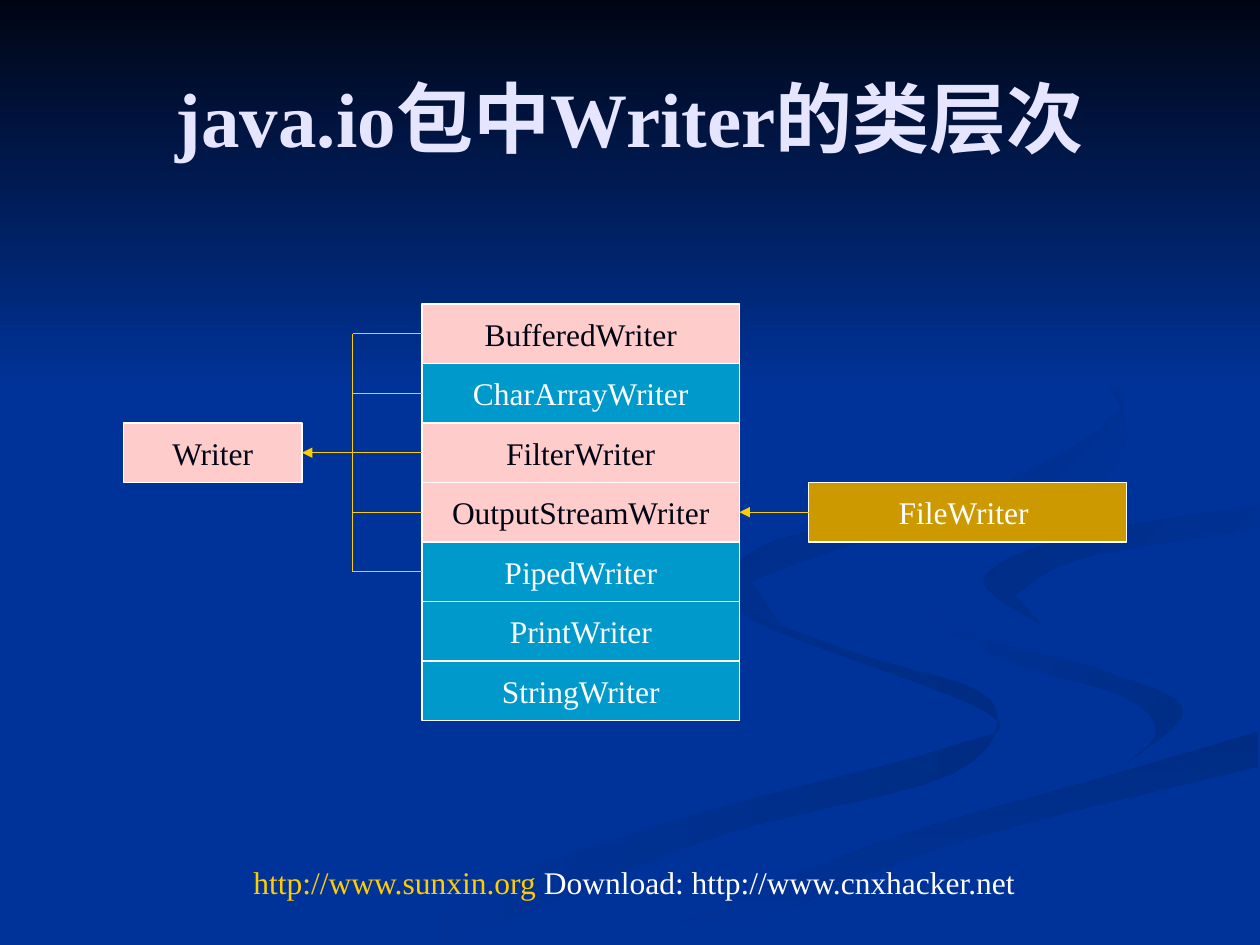
"""Build a slide showing the class hierarchy of Writer in java.io."""
from dataclasses import dataclass

from lxml.etree import SubElement
from pptx import Presentation
from pptx.dml.color import RGBColor as RGB
from pptx.enum.shapes import MSO_CONNECTOR as CONN, MSO_SHAPE as SHAPE
from pptx.enum.text import MSO_ANCHOR as ANCHOR, PP_ALIGN as ALIGN
from pptx.oxml.ns import qn
from pptx.util import Pt


@dataclass(frozen=True)
class Theme:
    font: str = "Times New Roman"
    back: str = "003399"
    dark: str = "000514"
    shade: str = "002C84"
    title: str = "E5E5FF"
    white: str = "FFFFFF"
    abstract: str = "FFCCCC"
    concrete: str = "0099CC"
    leaf: str = "CC9900"
    accent: str = "FFCC00"
    title_size: int = 44
    text_size: int = 18
    line: float = 0.75


T = Theme()
TITLE = "java.io包中Writer的类层次"
ROOT = "Writer"
SUBCLASSES = [
    ("BufferedWriter", T.abstract),
    ("CharArrayWriter", T.concrete),
    ("FilterWriter", T.abstract),
    ("OutputStreamWriter", T.abstract),
    ("PipedWriter", T.concrete),
    ("PrintWriter", T.concrete),
    ("StringWriter", T.concrete),
]
LEAF = "FileWriter "
FOOTER = [("http://www.sunxin.org", T.accent), (" Download: http://www.cnxhacker.net", T.white)]
ROOT_ROW, LEAF_ROW, BRANCHES = 2, 3, 5

RIBBONS = [
    ((T.back, T.shade, 0),
     [(414, 330), (427, 349), (491, 374), (566, 400), (544, 442), (406, 479), (260, 539)],
     [(216, 539), (300, 497), (417, 460), (539, 428), (566, 408), (440, 359), (410, 337)]),
    ((T.back, T.shade, 45),
     [(521, 334), (546, 359), (626, 382), (676, 405), (644, 436)],
     [(644, 436), (661, 418), (642, 398), (574, 377), (528, 351)]),
    ((T.shade, T.back, 90),
     [(719, 418), (624, 446), (501, 482), (362, 539)],
     [(411, 539), (482, 505), (565, 476), (719, 438)]),
    ((T.shade, T.back, 45),
     [(719, 289), (611, 307), (562, 331), (595, 357)],
     [(580, 340), (618, 319), (719, 302)]),
    ((T.shade, T.back, 45),
     [(549, 168), (616, 205), (639, 236), (549, 287), (443, 309), (416, 337), (448, 360)],
     [(429, 332), (492, 310), (594, 289), (640, 261), (634, 221), (583, 184)]),
]
CURVE_STEPS = 6

ROW_X, ROW_Y, ROW_W, ROW_H = 241.2, 173.7, 181.4, 34
ROOT_X, ROOT_W, LEAF_X, BUS_X = 70.6, 102, 462.2, 201.6


def place(sp, x, y, w, h):
    sp.left, sp.top, sp.width, sp.height = Pt(x), Pt(y), Pt(w), Pt(h)


def write(tf, runs, size, bold=False):
    p = tf.paragraphs[0]
    p.alignment = ALIGN.CENTER
    for text, color in runs:
        r = p.add_run()
        r.text = text
        r.font.name, r.font.size, r.font.bold = T.font, Pt(size), bold
        r.font.color.rgb = RGB.from_string(color)


def shade(sp, first, last, angle):
    sp.shadow.inherit = False
    sp.line.fill.background()
    sp.fill.gradient()
    sp.fill.gradient_angle = -angle % 360
    for stop, color, position in zip(sp.fill.gradient_stops, (first, last), (0, 1)):
        stop.color.rgb = RGB.from_string(color)
        stop.position = position


def spline(a, b, c, d, t):
    return b + t * (c - a + t * (2 * a - 5 * b + 4 * c - d + t * (3 * (b - c) + d - a))) / 2


def curve(knots):
    padded = [knots[0], *knots, knots[-1]]
    points = [
        tuple(Pt(spline(*axis, step / CURVE_STEPS)) for axis in zip(*padded[i:i + 4]))
        for i in range(len(knots) - 1)
        for step in range(CURVE_STEPS)
    ]
    return points + [tuple(Pt(v) for v in knots[-1])]


def add_backdrop(s):
    for colors, outer, inner in RIBBONS:
        start, *rest = curve(outer) + curve(inner)
        outline = s.shapes.build_freeform(*start)
        outline.add_line_segments(rest, close=True)
        shade(outline.convert_to_shape(), *colors)
    sky = s.shapes.add_shape(SHAPE.RECTANGLE, 0, 0, Pt(720), Pt(222))
    shade(sky, T.dark, T.back, 90)


def row_top(row):
    return ROW_Y + row * ROW_H


def row_middle(row):
    return row_top(row) + ROW_H / 2


def add_class(s, name, fill, x, row, w=ROW_W):
    sp = s.shapes.add_shape(SHAPE.RECTANGLE, Pt(x), Pt(row_top(row)), Pt(w), Pt(ROW_H))
    sp.shadow.inherit = False
    sp.fill.solid()
    sp.fill.fore_color.rgb = RGB.from_string(fill)
    sp.line.color.rgb = RGB.from_string(T.white)
    sp.line.width = Pt(T.line)
    tf = sp.text_frame
    tf.word_wrap, tf.vertical_anchor = False, ANCHOR.MIDDLE
    write(tf, [(name, T.dark if fill == T.abstract else T.white)], T.text_size)
    return sp


def add_line(s, x1, y1, x2, y2, begin=None, end=None, arrow=False):
    c = s.shapes.add_connector(CONN.STRAIGHT, Pt(x1), Pt(y1), Pt(x2), Pt(y2))
    c.line.color.rgb = RGB.from_string(T.accent)
    c.line.width = Pt(T.line)
    props = c.element.spPr
    if arrow:
        SubElement(props.find(qn("a:ln")), qn("a:headEnd"), type="triangle")
    SubElement(props, qn("a:effectLst"))
    if begin is not None:
        c.begin_connect(begin, 3)
    if end is not None:
        c.end_connect(end, 1)


def add_hierarchy(s):
    root = add_class(s, ROOT, T.abstract, ROOT_X, ROOT_ROW, ROOT_W)
    subs = [add_class(s, name, fill, ROW_X, i) for i, (name, fill) in enumerate(SUBCLASSES)]
    leaf = add_class(s, LEAF, T.leaf, LEAF_X, LEAF_ROW)
    y = row_middle(ROOT_ROW)
    add_line(s, ROOT_X + ROOT_W, y, BUS_X, y, begin=root, arrow=True)
    add_line(s, BUS_X, row_middle(BRANCHES - 1), BUS_X, row_middle(0))
    for i, sub in enumerate(subs[:BRANCHES]):
        add_line(s, BUS_X, row_middle(i), ROW_X, row_middle(i), end=sub)
    y = row_middle(LEAF_ROW)
    add_line(s, ROW_X + ROW_W, y, LEAF_X, y, begin=subs[LEAF_ROW], end=leaf, arrow=True)


def main():
    prs = Presentation()
    prs.slide_width, prs.slide_height = Pt(720), Pt(540)
    s = prs.slides.add_slide(prs.slide_layouts[5])
    s.background.fill.solid()
    s.background.fill.fore_color.rgb = RGB.from_string(T.back)
    add_backdrop(s)
    title = s.shapes.title
    title.element.getparent().append(title.element)
    place(title, 36, 21.6, 648, 90)
    title.text_frame.vertical_anchor = ANCHOR.MIDDLE
    write(title.text_frame, [(TITLE, T.title)], T.title_size, bold=True)
    add_hierarchy(s)
    footer = s.shapes.add_textbox(Pt(127.4), Pt(489.6), Pt(470.2), Pt(50.4))
    footer.text_frame.word_wrap = True
    write(footer.text_frame, FOOTER, T.text_size)
    prs.save("out.pptx")


if __name__ == "__main__":
    main()
